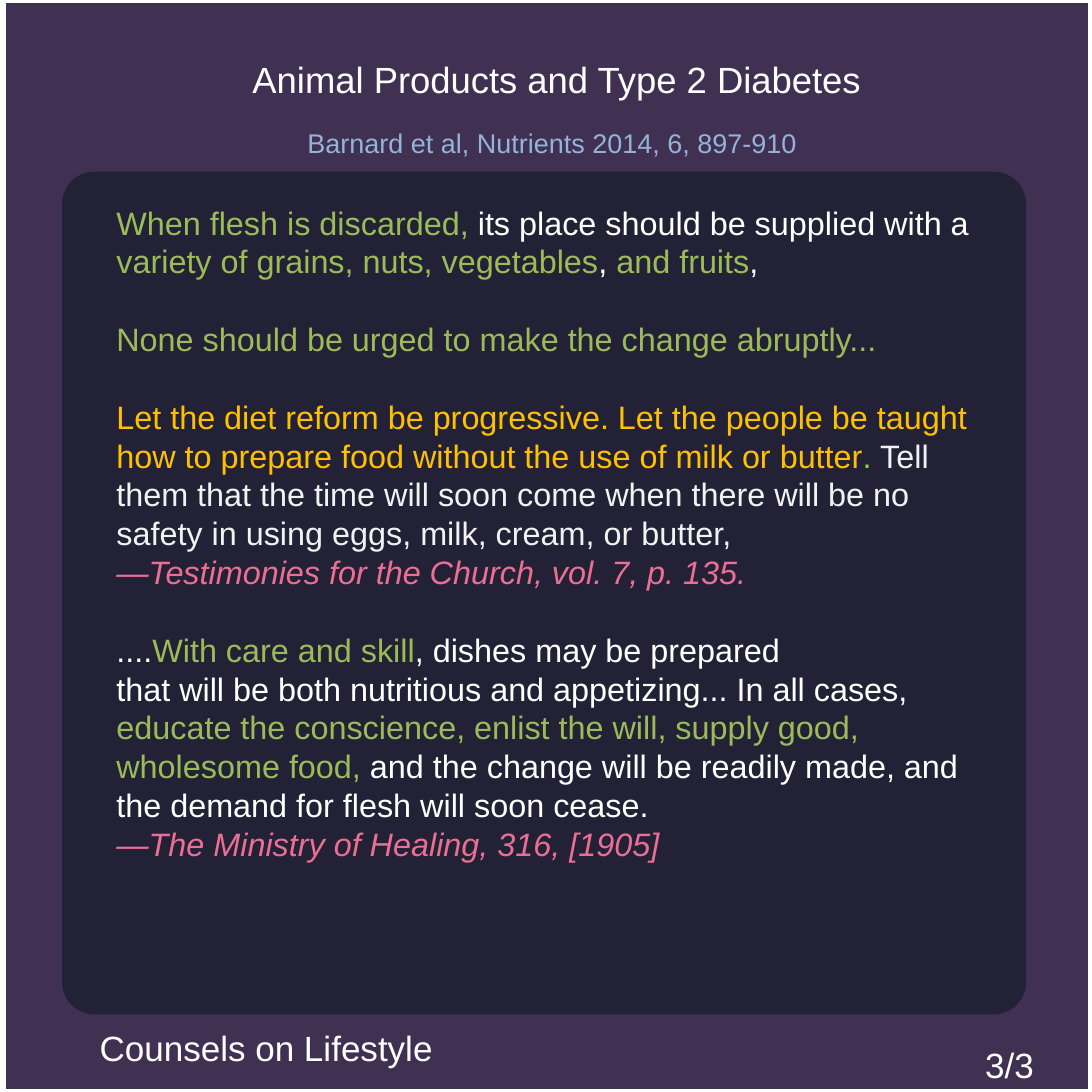
from dataclasses import dataclass

from pptx import Presentation
from pptx.dml.color import RGBColor
from pptx.enum.shapes import MSO_SHAPE as Preset
from pptx.enum.text import MSO_ANCHOR as Anchor, PP_ALIGN as Align
from pptx.util import Inches, Pt

SIDE = 11.25
FONT = "Arial"
WHITE, PALE, GREEN, LIME = "FFFFFF", "F2F2F2", "9BBB59", "92D050"
AMBER, ROSE, BLUE = "FFC000", "EB6F92", "95B3D7"
PLUM, NAVY = "403152", "232136"
BODY_SIZE, BODY_LINE, LABEL_LINE = 24, 28.8, 61.6


@dataclass(frozen=True)
class Area:
    """A rectangle in percent of the slide's side."""
    left: float
    top: float
    width: float
    height: float

    def lengths(self) -> list[int]:
        return [Inches(SIDE * share / 100)
                for share in (self.left, self.top, self.width, self.height)]


@dataclass(frozen=True)
class Span:
    text: str
    color: str
    size: float = BODY_SIZE
    italic: bool = False


@dataclass(frozen=True)
class Para:
    spans: tuple[Span, ...]
    gap: float = 0
    line: float = BODY_LINE
    align: Align = Align.LEFT


@dataclass(frozen=True)
class Label:
    area: Area
    span: Span


FRAME = Area(0.27, 0, 99.64, 100)
PANEL = Area(5.69, 15.73, 88.27, 77.16)
QUOTES = Area(9.78, 18.13, 80.8, 72)

LABELS = (
    Label(Area(-2.84, 1.6, 107.64, 10.31),
          Span("Animal Products and Type 2 Diabetes", WHITE, 27)),
    Label(Area(-0.8, 6.93, 102.76, 7.64),
          Span("Barnard et al, Nutrients 2014, 6, 897-910", BLUE, 20)),
    Label(Area(4.89, 90.22, 39.02, 7.64), Span("Counsels on Lifestyle", WHITE, 26)),
    Label(Area(86.31, 91.82, 12.27, 7.64), Span("3/3", WHITE, 26)),
)

PARAS = (
    Para((
        Span("When flesh is discarded,", GREEN),
        Span(" its place should be supplied with a ", WHITE),
        Span("variety of grains, nuts, vegetables", GREEN),
        Span(", ", WHITE),
        Span("and fruits", GREEN),
        Span(",", WHITE),
    )),
    Para((Span("None should be urged to make the change abruptly...", GREEN),),
         gap=BODY_LINE),
    Para((
        Span("Let the diet reform be progressive. Let the people be taught how to "
             "prepare food without the use of milk or butter", AMBER),
        Span(".", LIME),
        Span(" Tell them that the time will soon come when there will be no safety "
             "in using eggs, milk, cream, or butter,", PALE),
    ), gap=BODY_LINE),
    Para((Span("—Testimonies for the Church, vol. 7, p. 135.", ROSE, italic=True),)),
    Para((
        Span("....", WHITE),
        Span("With care and skill", GREEN),
        Span(", dishes may be prepared", WHITE),
    ), gap=BODY_LINE),
    Para((
        Span("that will be both nutritious and appetizing... In all cases, ", WHITE),
        Span("educate the conscience, enlist the will, supply good, wholesome food,",
             GREEN),
        Span(" and the change will be readily made, and the demand for flesh will "
             "soon cease.", WHITE),
    )),
    Para((Span("—The Ministry of Healing, 316, [1905]", ROSE, italic=True),)),
)


def paint(fill, color: str) -> None:
    fill.solid()
    fill.fore_color.rgb = RGBColor.from_string(color)


def apply(target, values: dict) -> None:
    """Set each named attribute of the target."""
    for name, value in values.items():
        setattr(target, name, value)


def add_text(page, area: Area, paras: tuple[Para, ...],
             inset_x: float = 0, inset_y: float = 0) -> None:
    frame = page.shapes.add_textbox(*area.lengths()).text_frame
    apply(frame, {
        "word_wrap": True, "vertical_anchor": Anchor.TOP,
        "margin_left": Inches(inset_x), "margin_right": Inches(inset_x),
        "margin_top": Inches(inset_y), "margin_bottom": Inches(inset_y),
    })
    for index, para in enumerate(paras):
        target = frame.add_paragraph() if index else frame.paragraphs[0]
        apply(target, {"alignment": para.align, "line_spacing": Pt(para.line),
                       "space_before": Pt(para.gap), "space_after": Pt(0)})
        for span in para.spans:
            run = target.add_run()
            run.text = span.text
            apply(run.font, {"name": FONT, "size": Pt(span.size),
                             "italic": span.italic})
            paint(run.font.fill, span.color)


def add_panel(page) -> None:
    panel = page.shapes.add_shape(Preset.ROUNDED_RECTANGLE, *PANEL.lengths())
    panel.adjustments[0] = 0.038
    panel.shadow.inherit = False
    paint(panel.fill, NAVY)
    panel.line.fill.background()


def add_frame(page) -> None:
    frame = page.shapes.add_shape(Preset.RECTANGLE, *FRAME.lengths())
    frame.shadow.inherit = False
    frame.fill.background()
    paint(frame.line.fill, WHITE)
    frame.line.width = Pt(4.5)


def main() -> None:
    deck = Presentation()
    apply(deck, {"slide_width": Inches(SIDE), "slide_height": Inches(SIDE)})
    page = deck.slides.add_slide(deck.slide_layouts[6])
    paint(page.background.fill, PLUM)
    add_panel(page)
    add_text(page, QUOTES, PARAS, inset_x=0.1, inset_y=0.05)
    for label in LABELS:
        line = Para((label.span,), line=LABEL_LINE, align=Align.CENTER)
        add_text(page, label.area, (line,))
    add_frame(page)
    deck.save("out.pptx")


if __name__ == "__main__":
    main()
